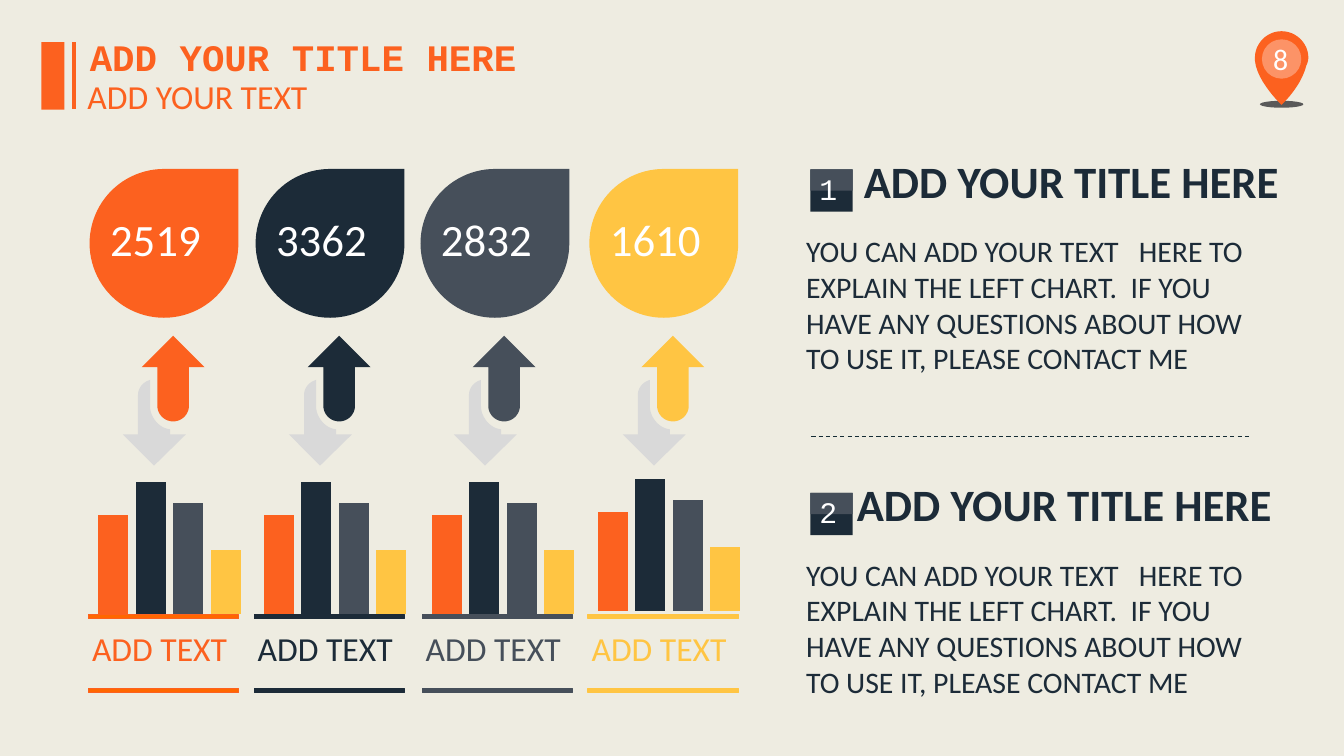
from dataclasses import dataclass
from typing import Sequence

from pptx import Presentation
from pptx.chart.data import CategoryChartData
from pptx.dml.color import RGBColor
from pptx.enum.chart import XL_CHART_TYPE as CT
from pptx.enum.dml import MSO_LINE
from pptx.enum.shapes import MSO_CONNECTOR, MSO_SHAPE as SH
from pptx.enum.text import MSO_ANCHOR, MSO_AUTO_SIZE, PP_ALIGN as AL
from pptx.oxml import parse_xml
from pptx.oxml.ns import nsdecls, qn
from pptx.util import Pt

ORANGE, NAVY, SLATE, YELLOW = "FC611F", "1C2B38", "464F5A", "FFC543"
WHITE, GREY = "FFFFFF", "D9D9D9"
BAR_COLORS = (ORANGE, NAVY, SLATE, YELLOW)
BAR_VALUES = (75, 100, 84, 48)

Path = Sequence[tuple[float, ...]]
UP_ARROW: Path = (
    (11.2, 22.5), (0, 22.5), (22.5, 0), (45, 22.5), (33.8, 22.5), (33.8, 50),
    (33.8, 56.2, 28.7, 61.2, 22.5, 61.2), (16.3, 61.2, 11.2, 56.2, 11.2, 50))
DOWN_ARROW: Path = (
    (19.4, 18.7), (19.4, 0), (14.4, 1.4, 10.8, 5.8, 10.8, 10.8),
    (10.8, 38.9), (0, 38.9), (22.3, 61.2), (45, 38.9), (33.8, 38.9),
    (33.8, 35.3), (25.9, 34.6, 19.4, 26.6, 19.4, 18.7))
PIN: Path = (
    (38.2, 19), (38.2, 8.6, 29.5, 0, 19, 0), (8.6, 0, 0, 8.6, 0, 19), (0, 20.9),
    (1.4, 36, 19, 52.6, 19, 52.6), (31, 41, 35.3, 30.2, 36.7, 24.5),
    (37.4, 23, 38, 21.6, 38.2, 19))


@dataclass
class Column:
    value: str
    color: str
    rule_fill: str
    drop_x: float
    rule_x: float
    chart_y: float


@dataclass
class Section:
    number: str
    top: float
    title_x: float


COLUMNS = (
    Column("2519", ORANGE, "FF6700", 64, 63.2, 323.3),
    Column("3362", NAVY, NAVY, 182.6, 181.5, 323.3),
    Column("2832", SLATE, SLATE, 300.4, 301.5, 323.3),
    Column("1610", YELLOW, YELLOW, 421, 420, 321.1),
)
SECTIONS = (Section("1", 121, 608.4), Section("2", 352.1, 603.4))
BODY = (
    "YOU CAN ADD YOUR TEXT   HERE TO",
    "EXPLAIN THE LEFT CHART.  IF YOU",
    "HAVE ANY QUESTIONS ABOUT HOW",
    "TO USE IT, PLEASE CONTACT ME",
)


def rgb(color: str) -> RGBColor:
    return RGBColor.from_string(color)


def paint(sp, fill: str, line: str = "") -> None:
    sp.shadow.inherit = False
    sp.fill.solid()
    sp.fill.fore_color.rgb = rgb(fill)
    if line:
        sp.line.color.rgb = rgb(line)
        sp.line.width = Pt(0.75)
    else:
        sp.line.fill.background()


def add_preset(s, kind, x: float, y: float, w: float, h: float, fill: str, line: str = ""):
    sp = s.shapes.add_shape(kind, Pt(x), Pt(y), Pt(w), Pt(h))
    paint(sp, fill, line)
    return sp


def trace(path: Path, steps: int = 12) -> list[tuple[float, float]]:
    points = [path[0]]
    for seg in path[1:]:
        if len(seg) == 2:
            points.append(seg)
            continue
        x0, y0 = points[-1]
        x1, y1, x2, y2, x3, y3 = seg
        for i in range(1, steps + 1):
            t = i / steps
            a, b, c, d = (1 - t) ** 3, 3 * t * (1 - t) ** 2, 3 * t * t * (1 - t), t ** 3
            points.append((a * x0 + b * x1 + c * x2 + d * x3,
                           a * y0 + b * y1 + c * y2 + d * y3))
    return points


def add_outline(s, path: Path, x: float, y: float, fill: str) -> None:
    points = [(Pt(x + px), Pt(y + py)) for px, py in trace(path)]
    builder = s.shapes.build_freeform(*points[0])
    builder.add_line_segments(points[1:], close=True)
    paint(builder.convert_to_shape(), fill)


def add_line(s, x1: float, y1: float, x2: float, y2: float, color: str,
             width: float, dash=None) -> None:
    ln = s.shapes.add_connector(MSO_CONNECTOR.STRAIGHT, Pt(x1), Pt(y1), Pt(x2), Pt(y2))
    ln.line.color.rgb = rgb(color)
    ln.line.width = Pt(width)
    if dash:
        ln.line.dash_style = dash
    ln.element.spPr.append(parse_xml(f"<a:effectLst {nsdecls('a')}/>"))


def add_text(s, lines: Sequence[str], x: float, y: float, w: float, h: float, *,
             size: float, color: str, font: str = "Calibri", bold: bool = False,
             align=AL.LEFT, wrap: bool = False, anchor=MSO_ANCHOR.TOP) -> None:
    tf = s.shapes.add_textbox(Pt(x), Pt(y), Pt(w), Pt(h)).text_frame
    tf.word_wrap = wrap
    tf.vertical_anchor = anchor
    if anchor == MSO_ANCHOR.TOP:
        tf.auto_size = MSO_AUTO_SIZE.SHAPE_TO_FIT_TEXT
    for i, text in enumerate(lines):
        p = tf.add_paragraph() if i else tf.paragraphs[0]
        p.alignment = align
        r = p.add_run()
        r.text = text
        r.font.name, r.font.size, r.font.bold = font, Pt(size), bold
        r.font.color.rgb = rgb(color)


def add_bars(s, x: float, y: float) -> None:
    data = CategoryChartData()
    data.categories = [str(i + 1) for i in range(len(BAR_VALUES))]
    data.add_series("Series 1", BAR_VALUES)
    chart = s.shapes.add_chart(CT.COLUMN_CLUSTERED, Pt(x), Pt(y), Pt(111.6), Pt(117.4), data).chart
    chart.has_title = chart.has_legend = False
    chart.font.name, chart.font.size = "Calibri", Pt(18)
    chart.font.color.rgb = rgb("000000")
    chart.category_axis.visible = chart.value_axis.visible = False
    chart.value_axis.has_major_gridlines = False
    chart.value_axis.minimum_scale, chart.value_axis.maximum_scale = 0, 120
    plot = chart.plots[0]
    plot.gap_width, plot.vary_by_categories = 25, False
    for i, color in enumerate(BAR_COLORS):
        fill = plot.series[0].points[i].format.fill
        fill.solid()
        fill.fore_color.rgb = rgb(color)
    chart.element.find(qn("c:chart")).addnext(parse_xml(
        f"<c:spPr {nsdecls('c', 'a')}><a:noFill/><a:ln><a:noFill/></a:ln></c:spPr>"))


def add_header(s) -> None:
    add_preset(s, SH.RECTANGLE, 29.5, 30.2, 16.6, 48.2, ORANGE)
    add_line(s, 52.6, 30.2, 52.6, 77.8, ORANGE, 3)
    add_text(s, ["ADD YOUR TITLE HERE"], 56.9, 20.9, 319.7, 39.6, size=26.7,
             color=ORANGE, font="Courier New", bold=True, align=AL.CENTER)
    add_text(s, ["ADD YOUR TEXT"], 55.4, 50.4, 173.5, 36, size=24, color=ORANGE)


def add_page_pin(s) -> None:
    add_preset(s, SH.OVAL, 900, 72, 31, 5, "595959")
    add_outline(s, PIN, 896.4, 22.3, ORANGE)
    disc = add_preset(s, SH.OVAL, 901.4, 28.1, 28.1, 28.1, WHITE)
    clr = disc.element.spPr.find(qn("a:solidFill"))[0]
    clr.append(parse_xml(f'<a:alpha {nsdecls("a")} val="32000"/>'))
    add_text(s, ["8"], 802.8, 27.4, 223.9, 28.8, size=21.3, color=WHITE,
             align=AL.CENTER, wrap=True, anchor=MSO_ANCHOR.MIDDLE)


def add_column(s, c: Column) -> None:
    add_outline(s, UP_ARROW, c.drop_x + 37.2, 239.8, c.color)
    add_outline(s, DOWN_ARROW, c.drop_x + 23.8, 271.4, GREY)
    add_preset(s, SH.TEAR, c.drop_x, 120.7, 106.3, 106.3, c.color)
    add_text(s, [c.value], c.drop_x + 7.5, 147.6, 79.9, 46.1, size=32, color=WHITE)
    for y in (439.2, 491.8):
        add_preset(s, SH.RECTANGLE, c.rule_x, y, 107.3, 2.9, c.rule_fill, c.color)
    add_text(s, ["ADD TEXT"], c.rule_x - 4.5, 445, 112.3, 36, size=24, color=c.color)
    add_bars(s, c.rule_x + 2, c.chart_y)


def add_section(s, sec: Section) -> None:
    add_preset(s, SH.RECTANGLE, 578.9, sec.top, 30.2, 30.2, NAVY)
    add_preset(s, SH.RECTANGLE, 578.9, sec.top, 30.2, 15.1, SLATE)
    add_text(s, [sec.number], 578.2, sec.top - 2.9, 26.6, 33.1, size=21.3,
             color=WHITE, font="Courier New")
    add_text(s, ["ADD YOUR TITLE HERE"], sec.title_x, sec.top - 14.8, 313.9, 46.1,
             size=32, color=NAVY, bold=True, align=AL.CENTER)
    add_text(s, BODY, 568.8, sec.top + 41.7, 334.8, 110.9, size=21.3, color=NAVY,
             align=AL.JUSTIFY, wrap=True)


def main() -> None:
    prs = Presentation()
    prs.slide_width, prs.slide_height = Pt(960), Pt(540)
    s = prs.slides.add_slide(prs.slide_layouts[6])
    s.background.fill.solid()
    s.background.fill.fore_color.rgb = rgb("EEECE1")
    add_header(s)
    add_page_pin(s)
    for c in COLUMNS:
        add_column(s, c)
    for sec in SECTIONS:
        add_section(s, sec)
    add_line(s, 579.6, 311.8, 892.8, 311.8, "152C34", 0.75, MSO_LINE.DASH)
    prs.save("out.pptx")


if __name__ == "__main__":
    main()
